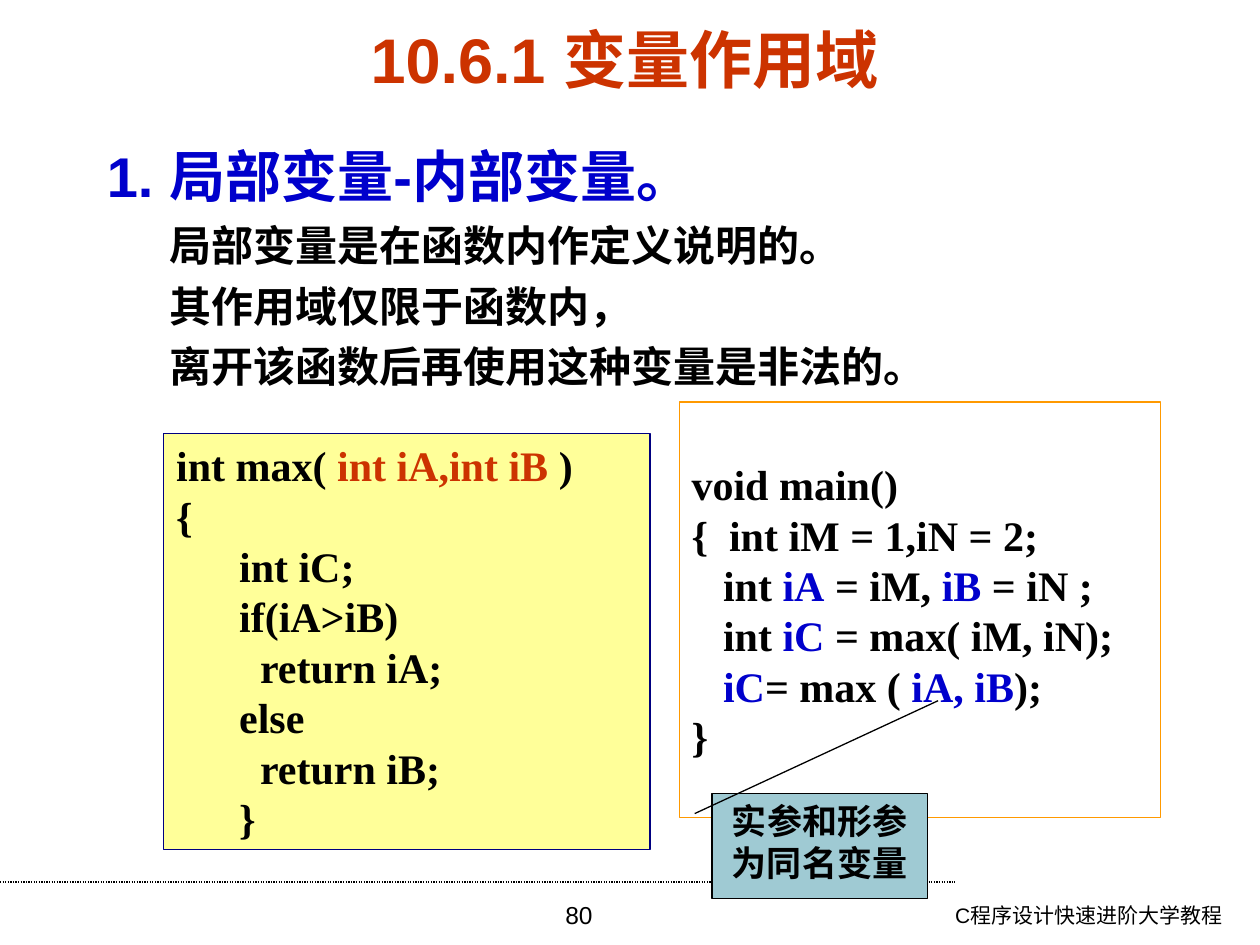
from dataclasses import dataclass

from lxml.etree import SubElement
from pptx import Presentation
from pptx.dml.color import RGBColor as RGB
from pptx.enum.dml import MSO_LINE_DASH_STYLE as Dash
from pptx.enum.shapes import MSO_CONNECTOR as Connector
from pptx.enum.shapes import MSO_SHAPE as Shape
from pptx.enum.text import MSO_ANCHOR as Anchor
from pptx.enum.text import PP_ALIGN as Align
from pptx.oxml.ns import qn
from pptx.util import Inches, Pt


@dataclass(frozen=True)
class Theme:
    black: str = "000000"
    red: str = "CC3300"
    blue: str = "0000CC"
    navy: str = "000080"
    orange: str = "FF9900"
    yellow: str = "FFFF99"
    teal: str = "9FCAD3"
    sans: str = "Arial"
    chinese: str = "Noto Sans CJK SC"
    code: str = "Times New Roman"
    title_size: int = 36
    heading_size: int = 32
    body_size: int = 24
    note_size: int = 20
    number_size: int = 14
    footer_size: int = 12
    line_width: float = 0.75
    line_height: float = 1.2


theme = Theme()
presentation = Presentation()
presentation.slide_width, presentation.slide_height = Inches(10), Inches(7.5)
slide = presentation.slides.add_slide(presentation.slide_layouts[6])

# Grid of 100 columns by 75 rows
column = presentation.slide_width / 100
row = presentation.slide_height / 75


def grid(left, top, width, height):
    return [int(n * unit) for n, unit in zip((left, top, width, height), (column, row) * 2)]


def write(shape, lines, size, font=theme.sans, bold=True, align=Align.LEFT,
          anchor=Anchor.TOP, indents=(), space=0):
    """Each line is a list of (text, colour) runs."""
    frame = shape.text_frame
    frame.word_wrap = True
    frame.vertical_anchor = anchor
    for index, line in enumerate(lines):
        paragraph = frame.paragraphs[0] if index == 0 else frame.add_paragraph()
        paragraph.alignment = align
        paragraph.line_spacing = Pt(size * theme.line_height)
        paragraph.space_before = Pt(space if index else 0)
        if index < len(indents):
            paragraph._p.get_or_add_pPr().set("marL", str(int(indents[index] * column)))
        for text, colour in line:
            run = paragraph.add_run()
            run.text = text
            run.font.name, run.font.size, run.font.bold = font, Pt(size), bold
            run.font.color.rgb = RGB.from_string(colour)
            SubElement(run._r.get_or_add_rPr(), qn("a:ea"), typeface=theme.chinese)


black, red, blue = theme.black, theme.red, theme.blue

# Footer rule, book title and page number
rule = slide.shapes.add_connector(Connector.STRAIGHT, 0, int(70 * row),
                                  int(75.8 * column), int(70 * row))
rule.line.color.rgb = RGB.from_string(black)
rule.line.width = Pt(theme.line_width)
rule.line.dash_style = Dash.ROUND_DOT
SubElement(rule._element.spPr, qn("a:effectLst"))

# Plain text: place, lines, and type settings
body_lines = ["局部变量是在函数内作定义说明的。", "其作用域仅限于函数内，", "离开该函数后再使用这种变量是非法的。"]
texts = [
    ((65.7, 71.1, 32.3, 3.9), [[("C程序设计快速进阶大学教程", black)]],
     dict(size=theme.footer_size, bold=False, align=Align.RIGHT)),
    ((34.3, 70.9, 23.3, 4.1), [[("80", black)]],
     dict(size=theme.number_size, bold=False, align=Align.CENTER)),
    ((4.3, 2.1, 90.5, 5), [[("10.6.1 变量作用域", red)]],
     dict(size=theme.title_size, align=Align.CENTER, anchor=Anchor.MIDDLE)),
    ((7.5, 10.7, 87.3, 6.5), [[("1. 局部变量-内部变量。", blue)]],
     dict(size=theme.heading_size)),
    ((7.5, 16.9, 87.3, 15), [[(line, black)] for line in body_lines],
     dict(size=theme.body_size, font=theme.chinese, indents=[5] * 3, space=6)),
]
for place, lines, settings in texts:
    write(slide.shapes.add_textbox(*grid(*place)), lines, **settings)

# Code boxes and callout
max_code = [
    [("int max( ", black), ("int iA,int iB", red), (" )", black)],
    *[[(line, black)] for line in
      ("{", "int iC;", "if(iA>iB)", "  return iA;", "else", "  return iB;", "}")],
]
main_code = [
    [("void main()", black)],
    [("{  int iM = 1,iN = 2;", black)],
    [("   int ", black), ("iA", blue), (" = iM, ", black), ("iB", blue), (" = iN ;", black)],
    [("   int ", black), ("iC", blue), (" = max( iM, iN);", black)],
    [("   iC", blue), ("= max ( ", black), ("iA, iB", blue), (");", black)],
    [("}", black)],
]
boxes = [
    (Shape.RECTANGLE, (13, 34.4, 38.6, 33), theme.yellow, theme.navy, max_code,
     dict(size=theme.body_size, font=theme.code, indents=[0] * 2 + [5] * 6)),
    (Shape.RECTANGLE, (53.9, 31.9, 38.2, 33), None, theme.orange, main_code,
     dict(size=theme.body_size, font=theme.code, anchor=Anchor.MIDDLE)),
    (Shape.LINE_CALLOUT_1, (56.5, 63, 17.1, 8.3), theme.teal, black,
     [[("实参和形参为同名变量", black)]], dict(size=theme.note_size, align=Align.CENTER)),
]
for kind, place, fill, outline, lines, settings in boxes:
    box = slide.shapes.add_shape(kind, *grid(*place))
    box.shadow.inherit = False
    if fill:
        box.fill.solid()
        box.fill.fore_color.rgb = RGB.from_string(fill)
    else:
        box.fill.background()
    box.line.color.rgb = RGB.from_string(outline)
    box.line.width = Pt(theme.line_width)
    if kind == Shape.LINE_CALLOUT_1:
        # Leader start and end as (y, x) shares of the callout
        for index, share in enumerate((0.19, -0.08, -0.89, 1.05)):
            box.adjustments[index] = share
    write(box, lines, **settings)

presentation.save("out.pptx")
